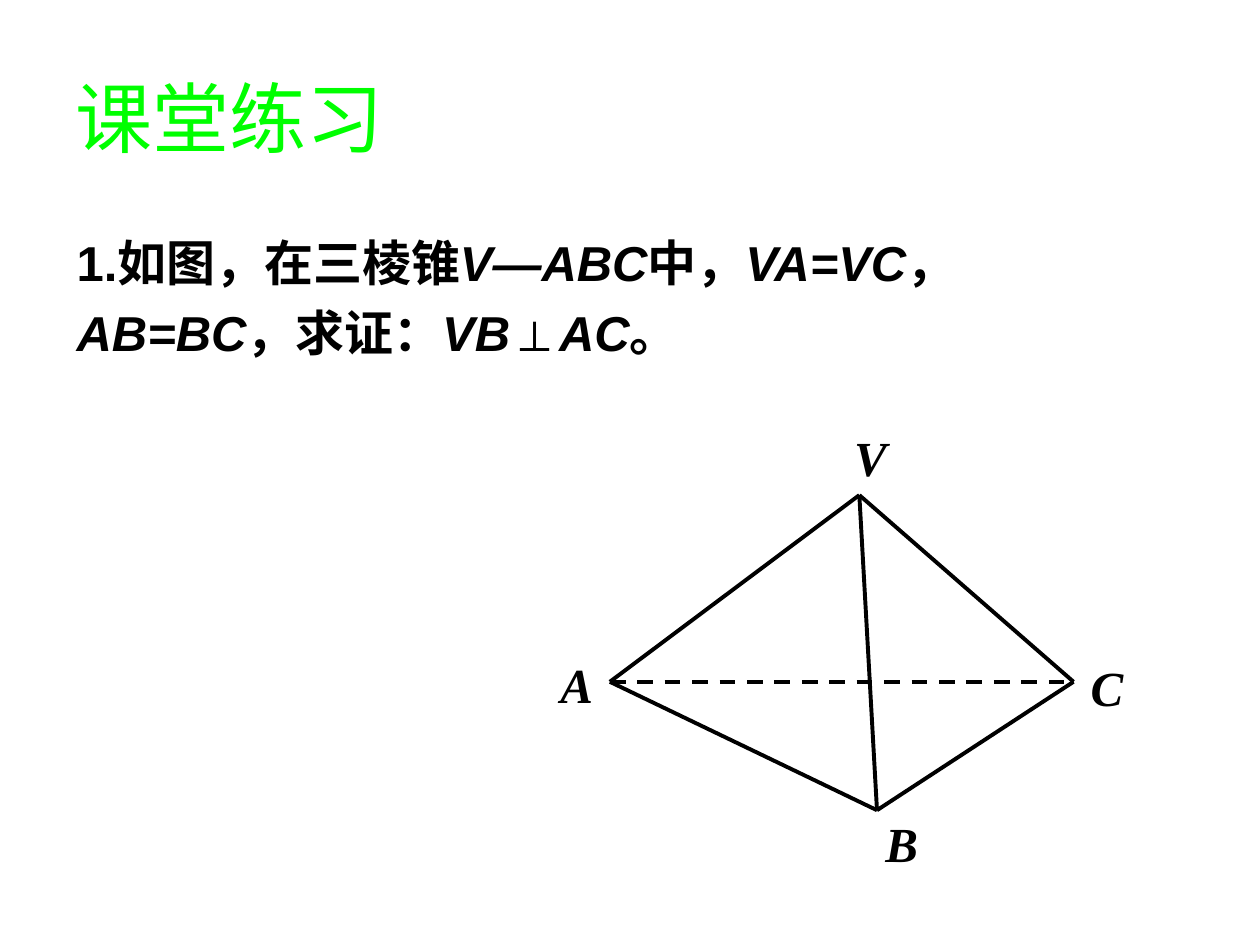
import pptx
import pptx.util
import pptx.dml.color
import pptx.enum.dml
import pptx.enum.shapes
import pptx.enum.text
import pptx.oxml.ns
from lxml import etree

GREEN = pptx.dml.color.RGBColor(0x00, 0xFF, 0x00)
BLACK = pptx.dml.color.RGBColor(0x00, 0x00, 0x00)
WIDTH = pptx.util.Inches(10)
HEIGHT = pptx.util.Inches(7.5)
COLUMN = WIDTH // 100
ROW = HEIGHT // 75

PROBLEM = [
    [("1.如图，在三棱锥", False), ("V—ABC", True), ("中，", False),
     ("VA=VC", True), ("，", False)],
    [("AB=BC", True), ("，求证：", False), ("VB", True), ("⊥", False),
     ("AC", True), ("。", False)],
]
VERTICES = {"V": (0.424, 0.162), "A": (0.105, 0.569),
            "B": (0.559 - 0.1, 0.849), "C": (0.893 - 0.1, 0.569)}
LABELS = {"V": (0.499, 0), "A": (0, 0.497), "B": (0.552, 0.843), "C": (0.901, 0.503)}
VERTICES = {"V": (0.529, 0.162), "A": (0.105, 0.569),
            "B": (0.559, 0.849), "C": (0.893, 0.569)}
EDGES = ["AC", "AB", "BC", "AV", "VB", "VC"]
LABEL_WIDTH = 4.6
LABEL_HEIGHT = 5.7


def cell_box(left, top, width, height):
    return (round(left * COLUMN), round(top * ROW),
            round(width * COLUMN), round(height * ROW))


def add_text_box(shapes, box, wrap=True):
    frame = shapes.add_textbox(*box).text_frame
    frame.word_wrap = wrap
    return frame


def style_font(font, name, size, color, bold=False):
    font.name = name
    font.size = pptx.util.Pt(size)
    font.color.rgb = color
    font.bold = bold


def add_title(slide, box):
    frame = add_text_box(slide.shapes, box)
    frame.vertical_anchor = pptx.enum.text.MSO_ANCHOR.MIDDLE
    paragraph = frame.paragraphs[0]
    paragraph.text = "课堂练习"
    style_font(paragraph.font, "Arial", 44, GREEN)


def add_problem(slide, box):
    paragraph = add_text_box(slide.shapes, box).paragraphs[0]
    paragraph.line_spacing = 1.2
    for number, line in enumerate(PROBLEM):
        if number:
            paragraph.add_line_break()
        for text, italic in line:
            run = paragraph.add_run()
            run.text = text
            run.font.italic = italic
    style_font(paragraph.font, "Arial", 28, BLACK, bold=True)


def add_edge(shapes, start, end, dashed):
    edge = shapes.add_connector(pptx.enum.shapes.MSO_CONNECTOR.STRAIGHT, *start, *end)
    edge.line.color.rgb = BLACK
    edge.line.width = pptx.util.Pt(2.25)
    if dashed:
        edge.line.dash_style = pptx.enum.dml.MSO_LINE.DASH
    properties = edge._element.spPr
    etree.SubElement(properties, pptx.oxml.ns.qn("a:effectLst"))


def add_pyramid(slide, box):
    left, top, width, height = box
    shapes = slide.shapes.add_group_shape().shapes

    def locate(share):
        return round(left + share[0] * width), round(top + share[1] * height)

    for start, end in EDGES:
        add_edge(shapes, locate(VERTICES[start]), locate(VERTICES[end]),
                 dashed=start + end == "AC")
    label_size = cell_box(0, 0, LABEL_WIDTH, LABEL_HEIGHT)[2:]
    for letter, share in LABELS.items():
        frame = add_text_box(shapes, locate(share) + label_size, wrap=False)
        paragraph = frame.paragraphs[0]
        paragraph.text = letter
        style_font(paragraph.font, "Times New Roman", 28, BLACK, bold=True)
        paragraph.font.italic = True


def main():
    presentation = pptx.Presentation()
    presentation.slide_width = WIDTH
    presentation.slide_height = HEIGHT
    slide = presentation.slides.add_slide(presentation.slide_layouts[6])
    add_title(slide, cell_box(5, 3, 37.9, 12.5))
    add_pyramid(slide, cell_box(43.5, 33.4, 46.7, 36.4))
    add_problem(slide, cell_box(5.1, 17, 92.9, 12.2))
    presentation.save("out.pptx")


if __name__ == "__main__":
    main()
